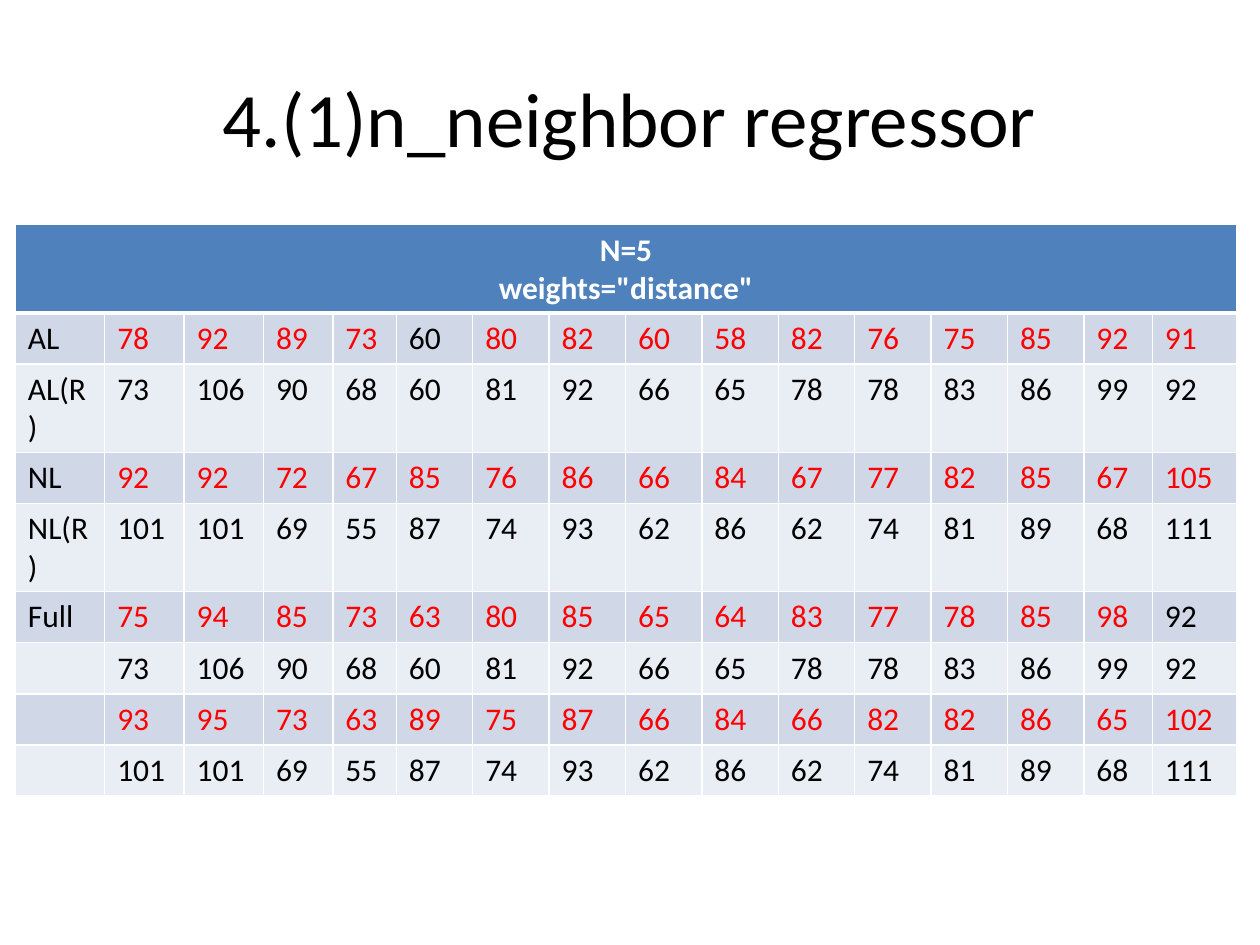
from dataclasses import dataclass

from lxml.etree import SubElement
from pptx import Presentation
from pptx.dml.color import RGBColor
from pptx.enum.text import MSO_ANCHOR, PP_ALIGN
from pptx.oxml.ns import qn
from pptx.util import Cm, Pt


@dataclass(frozen=True)
class Theme:
    font: str = "Calibri"
    title: int = 44
    body: int = 18
    ink: str = "000000"
    white: str = "FFFFFF"
    red: str = "FF0000"
    head: str = "4F81BD"
    dark: str = "D0D8E8"
    light: str = "E9EDF4"


class Deck:
    def __init__(self, theme):
        self.theme = theme
        self.prs = Presentation()
        self.prs.slide_width, self.prs.slide_height = Cm(25.4), Cm(19.05)
        self.slide = self.prs.slides.add_slide(self.prs.slide_layouts[6])

    def label(self, frame, text, size, color, bold=False, align=PP_ALIGN.LEFT):
        frame.text = text
        for para in frame.paragraphs:
            para.alignment = align
            para.font.size = Pt(size)
            for run in para.runs:
                font = run.font
                font.name, font.size, font.bold = self.theme.font, Pt(size), bold
                font.color.rgb = RGBColor.from_string(color)

    def title(self, text, left, top, width, height):
        box = self.slide.shapes.add_textbox(Cm(left), Cm(top), Cm(width), Cm(height))
        frame = box.text_frame
        frame.word_wrap = True
        frame.vertical_anchor = MSO_ANCHOR.MIDDLE
        self.label(frame, text, self.theme.title, self.theme.ink, align=PP_ALIGN.CENTER)

    def edge(self, cell, base):
        """Draw white cell borders; base is the width of the bottom one."""
        props = cell._tc.get_or_add_tcPr()
        for side, width in (("L", 1), ("R", 1), ("T", 1), ("B", base)):
            line = SubElement(props, qn(f"a:ln{side}"), w=str(Pt(width)))
            fill = SubElement(line, qn("a:solidFill"))
            SubElement(fill, qn("a:srgbClr"), val=self.theme.white)

    def paint(self, cell, color, base=1):
        self.edge(cell, base)
        cell.fill.solid()
        cell.fill.fore_color.rgb = RGBColor.from_string(color)

    def table(self, head, rows, left, top, widths, height):
        """Tint every other row; its scores are red where the row below differs."""
        look = self.theme
        shape = self.slide.shapes.add_table(
            len(rows) + 1, len(widths), Cm(left), Cm(top),
            Cm(sum(widths)), Cm(height * (len(rows) + 1)))
        grid = shape.table
        for col, width in zip(grid.columns, widths):
            col.width = Cm(width)
        for row in grid.rows:
            row.height = Cm(height)

        for cell in grid.rows[0].cells:
            self.paint(cell, look.head, base=3)
        first = grid.cell(0, 0)
        first.merge(grid.cell(0, len(widths) - 1))
        self.label(first.text_frame, head, look.body, look.white, True, PP_ALIGN.CENTER)

        for r, (name, scores) in enumerate(rows):
            tinted = r % 2 == 0
            below = rows[r + 1][1] if tinted else scores
            colors = [look.ink] + [
                look.red if a != b else look.ink for a, b in zip(scores, below)]
            for c, (value, color) in enumerate(zip([name, *scores], colors)):
                cell = grid.cell(r + 1, c)
                self.paint(cell, look.dark if tinted else look.light)
                self.label(cell.text_frame, str(value), look.body, color)

    def save(self):
        self.prs.save("out.pptx")


AL_REAL = [73, 106, 90, 68, 60, 81, 92, 66, 65, 78, 78, 83, 86, 99, 92]
NL_REAL = [101, 101, 69, 55, 87, 74, 93, 62, 86, 62, 74, 81, 89, 68, 111]
ROWS = [
    ("AL", [78, 92, 89, 73, 60, 80, 82, 60, 58, 82, 76, 75, 85, 92, 91]),
    ("AL(R)", AL_REAL),
    ("NL", [92, 92, 72, 67, 85, 76, 86, 66, 84, 67, 77, 82, 85, 67, 105]),
    ("NL(R)", NL_REAL),
    ("Full", [75, 94, 85, 73, 63, 80, 85, 65, 64, 83, 77, 78, 85, 98, 92]),
    ("", AL_REAL),
    ("", [93, 95, 73, 63, 89, 75, 87, 66, 84, 66, 82, 82, 86, 65, 102]),
    ("", NL_REAL),
]
WIDTHS = [1.8, 1.6, 1.6, 1.4, 1.28] + [1.54] * 9 + [1.38, 1.7]


def main():
    deck = Deck(Theme())
    deck.title("4.(1)n_neighbor regressor", 1.27, 0.76, 22.86, 3.18)
    deck.table('N=5\nweights="distance"', ROWS, 0.31, 4.53, WIDTHS, 1.03)
    deck.save()


if __name__ == "__main__":
    main()
